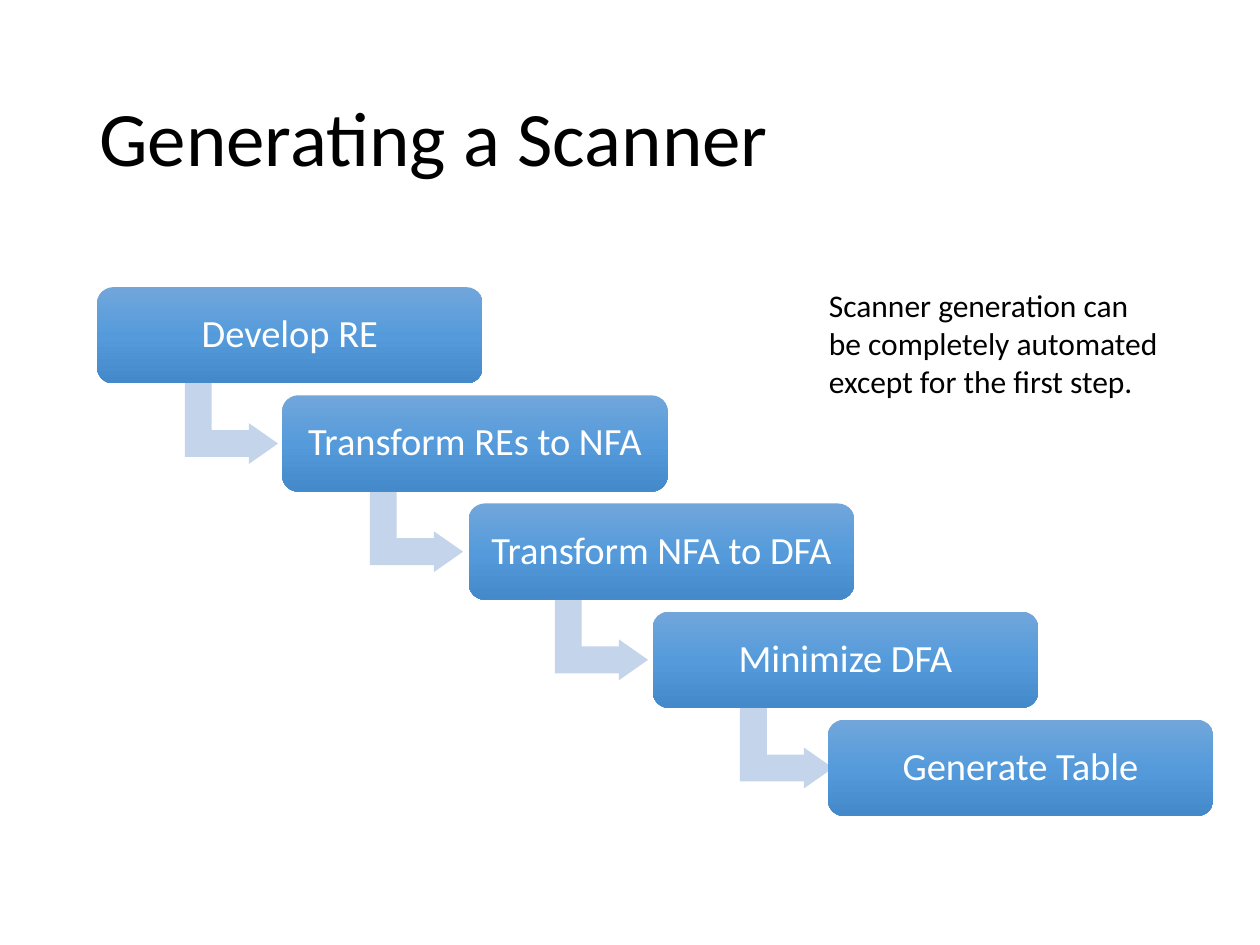
from copy import deepcopy

from pptx import Presentation
from pptx.dml.color import RGBColor
from pptx.enum.shapes import MSO_SHAPE
from pptx.enum.text import MSO_ANCHOR, MSO_AUTO_SIZE, PP_ALIGN
from pptx.oxml.ns import qn
from pptx.util import Cm, Pt

ROUND = MSO_SHAPE.ROUNDED_RECTANGLE
BENT = MSO_SHAPE.BENT_UP_ARROW
LEFT, CENTER = PP_ALIGN.LEFT, PP_ALIGN.CENTER
TOP, MIDDLE = MSO_ANCHOR.TOP, MSO_ANCHOR.MIDDLE
GROW = MSO_AUTO_SIZE.SHAPE_TO_FIT_TEXT

BLACK = RGBColor(0x00, 0x00, 0x00)
WHITE = RGBColor(0xFF, 0xFF, 0xFF)
PALE = RGBColor(0xC4, 0xD5, 0xEB)
BLUES = (
    (0, RGBColor(0x71, 0xA6, 0xDB)),
    (0.5, RGBColor(0x55, 0x9B, 0xDB)),
    (1, RGBColor(0x44, 0x8A, 0xCA)),
)

# Step label and left edge in cm
STEPS = (
    ("Develop RE", 1.96),
    ("Transform REs to NFA", 5.69),
    ("Transform NFA to DFA", 9.45),
    ("Minimize DFA", 13.16),
    ("Generate Table", 16.69),
)
DROP = 2.18
SHIFT = 3.73


def write(shape, text, size=18, color=BLACK, align=LEFT, anchor=TOP, lines=1.0):
    frame = shape.text_frame
    frame.word_wrap = True
    frame.vertical_anchor = anchor
    para = frame.paragraphs[0]
    para.alignment = align
    para.line_spacing = lines
    run = para.add_run()
    run.text = text
    run.font.name = "Calibri"
    run.font.size = Pt(size)
    run.font.color.rgb = color


def shade(fill):
    """Fill from top to bottom with the three blues."""
    fill.gradient()
    fill.gradient_angle = 270


class Deck:
    def __init__(self):
        self.file = Presentation()
        self.file.slide_width = Cm(25.4)
        self.file.slide_height = Cm(19.05)
        self.slide = self.file.slides.add_slide(self.file.slide_layouts[5])

    def title(self, text, x, y, w, h):
        shape = self.slide.shapes.title
        shape.left, shape.top, shape.width, shape.height = map(Cm, (x, y, w, h))
        write(shape, text, size=44, anchor=MIDDLE, lines=0.9)

    def shape(self, kind, x, y, w, h):
        shape = self.slide.shapes.add_shape(kind, Cm(x), Cm(y), Cm(w), Cm(h))
        shape.shadow.inherit = False
        shape.line.fill.background()
        return shape

    def step(self, text, x, y):
        box = self.shape(ROUND, x, y, 7.77, 1.94)
        box.adjustments[0] = 0.167
        shade(box.fill)
        stops = box._element.spPr.find(qn("a:gradFill")).find(qn("a:gsLst"))
        stops.append(deepcopy(stops[-1]))
        for stop, (place, color) in zip(box.fill.gradient_stops, BLUES):
            stop.position = place
            stop.color.rgb = color
        write(box, text, size=22, color=WHITE, align=CENTER, anchor=MIDDLE, lines=0.9)

    def arrow(self, x, y):
        arrow = self.shape(BENT, x, y, 1.65, 1.88)
        arrow.rotation = 90
        for i, value in enumerate((0.328, 0.25, 0.358)):
            arrow.adjustments[i] = value
        arrow.fill.solid()
        arrow.fill.fore_color.rgb = PALE

    def note(self, text, x, y, w, h):
        box = self.slide.shapes.add_textbox(Cm(x), Cm(y), Cm(w), Cm(h))
        write(box, text)
        box.text_frame.auto_size = GROW


def main():
    deck = Deck()
    deck.title("Generating a Scanner", 1.75, 1.01, 21.9, 3.68)
    for i, (text, left) in enumerate(STEPS):
        if i < len(STEPS) - 1:
            deck.arrow(3.84 + i * SHIFT, 7.59 + i * DROP)
        deck.step(text, left, 5.79 + i * DROP)
    deck.note(
        "Scanner generation can be completely automated except for the first step.",
        16.46, 5.64, 7.21, 2.57,
    )
    deck.file.save("out.pptx")


if __name__ == "__main__":
    main()
